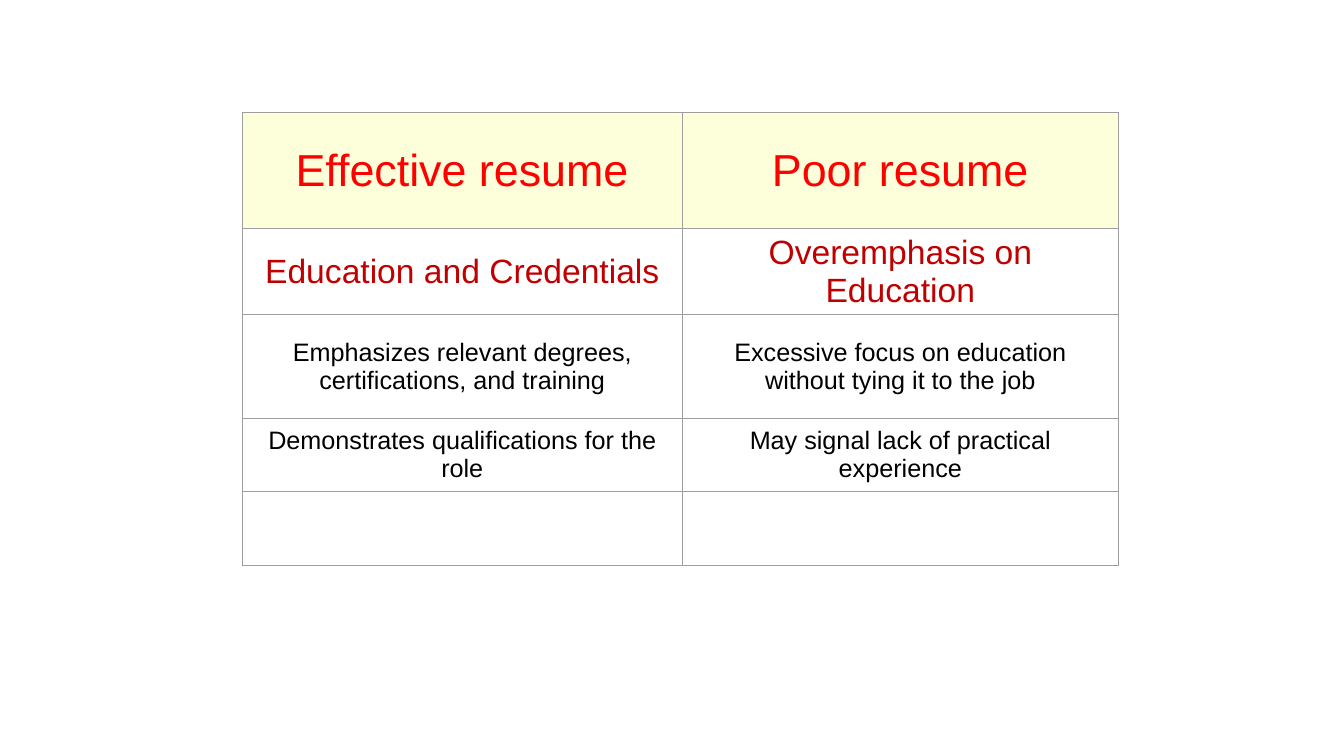
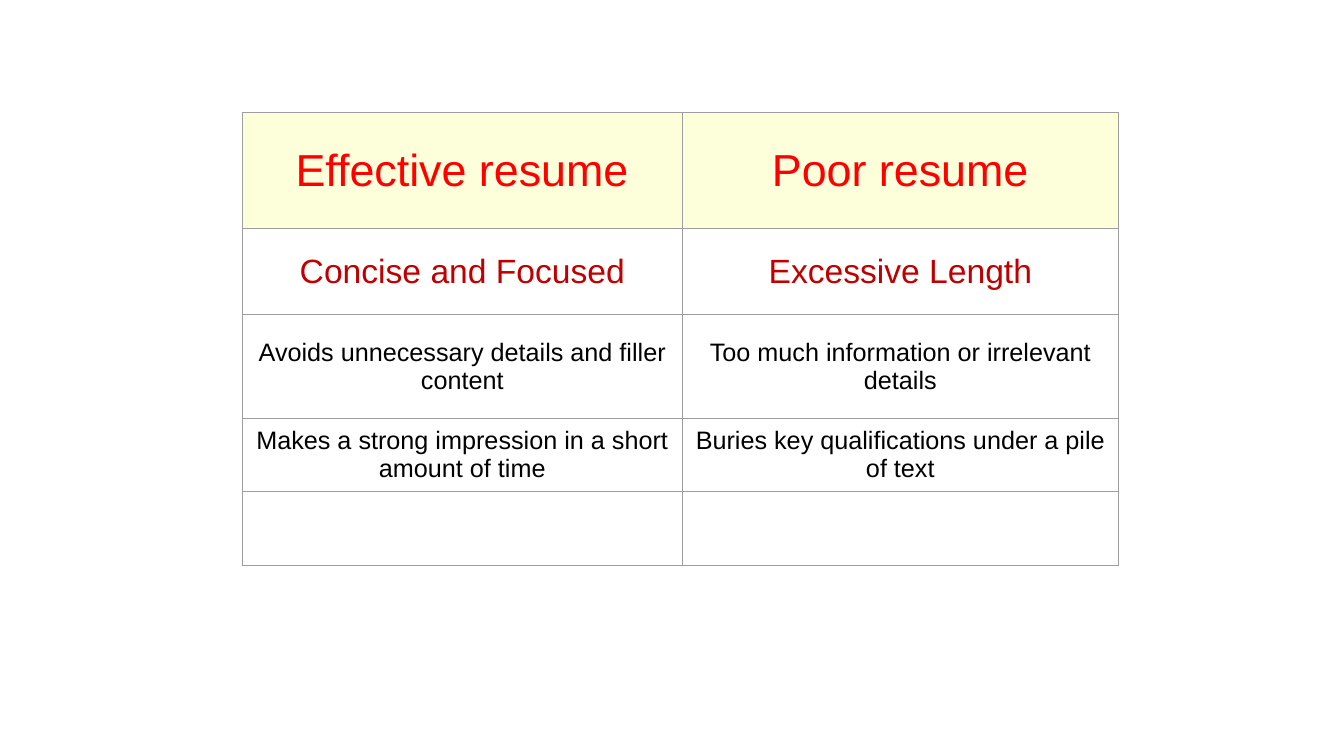
from lxml import etree
from pptx import Presentation
from pptx.dml.color import RGBColor
from pptx.enum import text
from pptx.oxml import ns
from pptx.util import Inches, Pt

RED = RGBColor(0xFF, 0x00, 0x00)
DARK_RED = RGBColor(0xC0, 0x00, 0x00)
BLACK = RGBColor(0x00, 0x00, 0x00)
CREAM = RGBColor(0xFC, 0xFF, 0xD9)
GREY = RGBColor(0x9E, 0x9E, 0x9E)
FONT = "Arial"

TABLE_BOX = (2.4, 1.12, 8.69, 4.49)
COLUMN_WIDTHS = (4.37, 4.32)
ROW_HEIGHTS = (1.15, 0.85, 1.03, 0.73, 0.73)
ROW_STYLES = ((32, RED), (24, DARK_RED), (18, BLACK), (18, BLACK), (18, BLACK))
HEADER = ("Effective resume", "Poor resume")

COMPARISONS = (
    (
        ("Education and Credentials", "Overemphasis on Education"),
        ("Emphasizes relevant degrees, certifications, and training",
         "Excessive focus on education without tying it to the job"),
        ("Demonstrates qualifications for the role",
         "May signal lack of practical experience"),
    ),
    (
        ("Concise and Focused", "Excessive Length"),
        ("Avoids unnecessary details and filler content",
         "Too much information or irrelevant details"),
        ("Makes a strong impression in a short amount of time",
         "Buries key qualifications under a pile of text"),
    ),
)


def set_borders(cell, color, width):
    tc_pr = cell._tc.get_or_add_tcPr()
    for i, side in enumerate(("a:lnL", "a:lnR", "a:lnT", "a:lnB")):
        ln = etree.Element(ns.qn(side), w=str(Pt(width)))
        fill = etree.SubElement(ln, ns.qn("a:solidFill"))
        etree.SubElement(fill, ns.qn("a:srgbClr"), val=str(color))
        tc_pr.insert(i, ln)


def fill_cell(cell, words, size, color):
    cell.vertical_anchor = text.MSO_ANCHOR.MIDDLE
    p = cell.text_frame.paragraphs[0]
    p.alignment = text.PP_ALIGN.CENTER
    if words:
        r = p.add_run()
        r.text = words
        r.font.name = FONT
        r.font.size = Pt(size)
        r.font.bold = False
        r.font.color.rgb = color


def add_comparison(s, box, rows):
    frame = s.shapes.add_table(len(ROW_HEIGHTS), len(COLUMN_WIDTHS), *map(Inches, box))
    table = frame.table
    table.first_row = False
    table.horz_banding = False
    for column, width in zip(table.columns, COLUMN_WIDTHS):
        column.width = Inches(width)
    contents = (HEADER, *rows, ("", ""))
    for i, (row, height) in enumerate(zip(table.rows, ROW_HEIGHTS)):
        row.height = Inches(height)
        for cell, words in zip(row.cells, contents[i]):
            if i == 0:
                cell.fill.solid()
                cell.fill.fore_color.rgb = CREAM
            else:
                cell.fill.background()
            set_borders(cell, GREY, 0.75)
            fill_cell(cell, words, *ROW_STYLES[i])


def main():
    prs = Presentation()
    prs.slide_width = Inches(13.33)
    prs.slide_height = Inches(7.5)
    for rows in COMPARISONS:
        s = prs.slides.add_slide(prs.slide_layouts.get_by_name("Blank"))
        add_comparison(s, TABLE_BOX, rows)
    prs.save("out.pptx")


if __name__ == "__main__":
    main()
